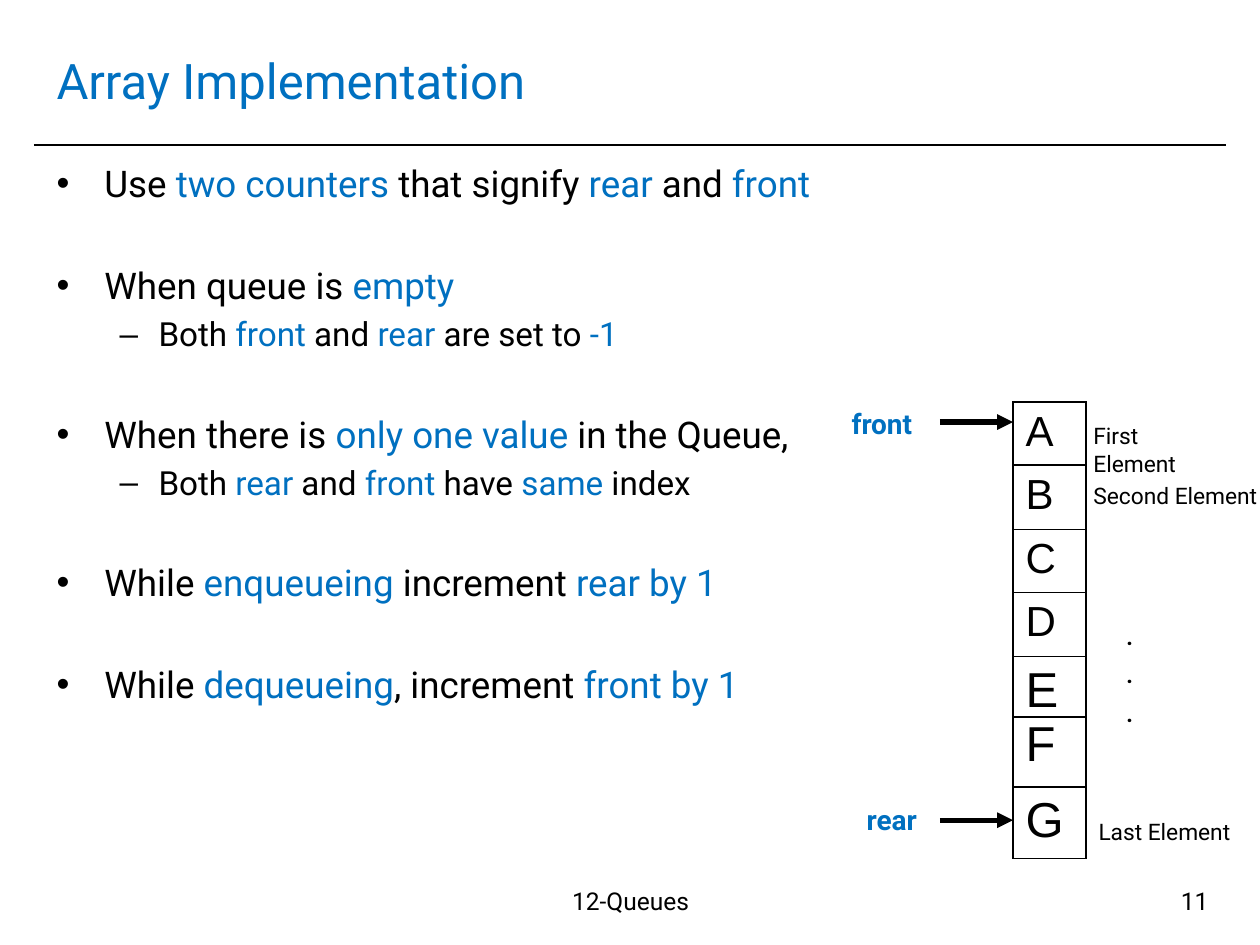
from typing import NamedTuple

from lxml.etree import SubElement
from pptx import Presentation
from pptx.dml.color import RGBColor
from pptx.enum.shapes import MSO_CONNECTOR
from pptx.enum.text import MSO_ANCHOR, PP_ALIGN
from pptx.oxml import parse_xml
from pptx.oxml.ns import nsdecls, qn
from pptx.util import Inches, Pt

BLACK = RGBColor(0x00, 0x00, 0x00)
BLUE = RGBColor(0x00, 0x70, 0xC0)
FONT = "Roboto"


class Label(NamedTuple):
    text: str
    left: float
    top: float
    width: float
    height: float
    size: int = 13
    color: RGBColor = BLACK
    bold: bool = False
    align: PP_ALIGN = PP_ALIGN.LEFT


class Point(NamedTuple):
    text: str  # every second part between bars is blue
    sub: bool = False


class Rule(NamedTuple):
    left: float
    right: float
    top: float
    width: float
    arrow: bool = False


class Row(NamedTuple):
    text: str
    height: float
    size: int = 24


LABELS = [
    Label("12-Queues", 3.35, 6.98, 3.31, 0.52, 14, align=PP_ALIGN.CENTER),
    Label("11", 7.36, 6.98, 2.33, 0.52, 14, align=PP_ALIGN.RIGHT),
    Label("First Element", 8.58, 3.3, 1.25, 0.32),
    Label("Second Element", 8.58, 3.77, 1.59, 0.32),
    Label("Last Element", 8.62, 6.44, 1.25, 0.32),
    Label("front", 6.66, 3.18, 0.88, 0.37, 16, BLUE, True),
    Label("rear", 6.78, 6.32, 0.75, 0.37, 16, BLUE, True),
]
POINTS = [
    Point("Use |two counters |that signify |rear| and |front"),
    Point("When queue is |empty"),
    Point("Both |front| and |rear| are set to |-1", True),
    Point("When there is |only one value| in the Queue,"),
    Point("Both |rear| and |front| have |same| index", True),
    Point("While |enqueueing |increment |rear by 1"),
    Point("While |dequeueing|, increment |front by 1"),
]
RULES = [
    Rule(0.27, 9.73, 1.15, 1),
    Rule(7.46, 8.04, 3.35, 3, True),
    Rule(7.46, 8.04, 6.51, 3, True),
    Rule(8.04, 8.63, 5.69, 0.75),
]
ROWS = [Row("A", 0.5), Row("B", 0.51), Row("C", 0.5), Row("D", 0.51),
        Row("EF", 1.03, 28), Row("G", 0.57, 28)]


def add_run(para, text: str, *, size: float, color: RGBColor = BLACK,
            bold: bool = False, font: str = FONT) -> None:
    run = para.add_run()
    run.text = text
    run.font.name = font
    run.font.size = Pt(size)
    run.font.bold = bold
    run.font.color.rgb = color


def add_box(slide, left: float, top: float, width: float, height: float):
    box = slide.shapes.add_textbox(
        Inches(left), Inches(top), Inches(width), Inches(height))
    box.text_frame.word_wrap = True
    return box.text_frame


def add_label(slide, label: Label) -> None:
    frame = add_box(slide, label.left, label.top, label.width, label.height)
    para = frame.paragraphs[0]
    para.alignment = label.align
    add_run(para, label.text, size=label.size, color=label.color,
            bold=label.bold)


def add_title(slide, text: str) -> None:
    frame = add_box(slide, 0.35, 0.21, 9.29, 0.85)
    frame.vertical_anchor = MSO_ANCHOR.MIDDLE
    add_run(frame.paragraphs[0], text, size=28, color=BLUE)


def set_bullet(para, char: str, left: float, hang: float) -> None:
    props = para._p.get_or_add_pPr()
    props.set("marL", str(Inches(left)))
    props.set("indent", str(-Inches(hang)))
    tint = SubElement(props, qn("a:buClr"))
    SubElement(tint, qn("a:srgbClr"), val=str(BLACK))
    SubElement(props, qn("a:buFont"), typeface="Arial")
    SubElement(props, qn("a:buChar"), char=char)


def add_points(slide, points: list[Point]) -> None:
    frame = add_box(slide, 0.35, 1.23, 6.89, 5.59)
    for i, point in enumerate(points):
        para = frame.add_paragraph() if i else frame.paragraphs[0]
        if point.sub:
            para.level = 1
            para.space_before = Pt(3.8)
            set_bullet(para, "–", 0.81, 0.31)
        else:
            para.space_before = Pt(33 if i else 0)
            set_bullet(para, "•", 0.38, 0.38)
        for j, part in enumerate(point.text.split("|")):
            add_run(para, part, size=19 if point.sub else 21,
                    color=BLUE if j % 2 else BLACK)


def add_dots(slide) -> None:
    frame = add_box(slide, 8.84, 4.89, 0.58, 0.98)
    for i in range(3):
        para = frame.add_paragraph() if i else frame.paragraphs[0]
        para.space_before = Pt(6.5 if i else 0)
        add_run(para, ".", size=13, bold=True)


def add_rule(slide, rule: Rule) -> None:
    line = slide.shapes.add_connector(
        MSO_CONNECTOR.STRAIGHT, Inches(rule.left), Inches(rule.top),
        Inches(rule.right), Inches(rule.top))
    line.line.color.rgb = BLACK
    line.line.width = Pt(rule.width)
    if rule.arrow:
        SubElement(line.line._ln, qn("a:tailEnd"), type="triangle")
    SubElement(line._element.spPr, qn("a:effectLst"))


def set_edges(cell) -> None:
    """Draw a thin black border on all four sides."""
    props = cell._tc.get_or_add_tcPr()
    for i, side in enumerate("LRTB"):
        props.insert(i, parse_xml(
            f'<a:ln{side} {nsdecls("a")} w="{Pt(1)}"><a:solidFill>'
            f'<a:srgbClr val="{BLACK}"/></a:solidFill></a:ln{side}>'))


def add_queue(slide, rows: list[Row]) -> None:
    tall = sum(row.height for row in rows)
    table = slide.shapes.add_table(
        len(rows), 1, Inches(8.04), Inches(3.19),
        Inches(0.58), Inches(tall)).table
    table.first_row = table.horz_banding = False
    for i, row in enumerate(rows):
        table.rows[i].height = Inches(row.height)
        cell = table.cell(i, 0)
        cell.fill.background()
        set_edges(cell)
        add_run(cell.text_frame.paragraphs[0], row.text, size=row.size,
                font="Arial")


def main() -> None:
    deck = Presentation()
    deck.slide_width, deck.slide_height = Inches(10), Inches(7.5)
    slide = deck.slides.add_slide(deck.slide_layouts[6])
    add_title(slide, "Array Implementation")
    add_points(slide, POINTS)
    add_queue(slide, ROWS)
    for label in LABELS:
        add_label(slide, label)
    add_dots(slide)
    for rule in RULES:
        add_rule(slide, rule)
    deck.save("out.pptx")


if __name__ == "__main__":
    main()
